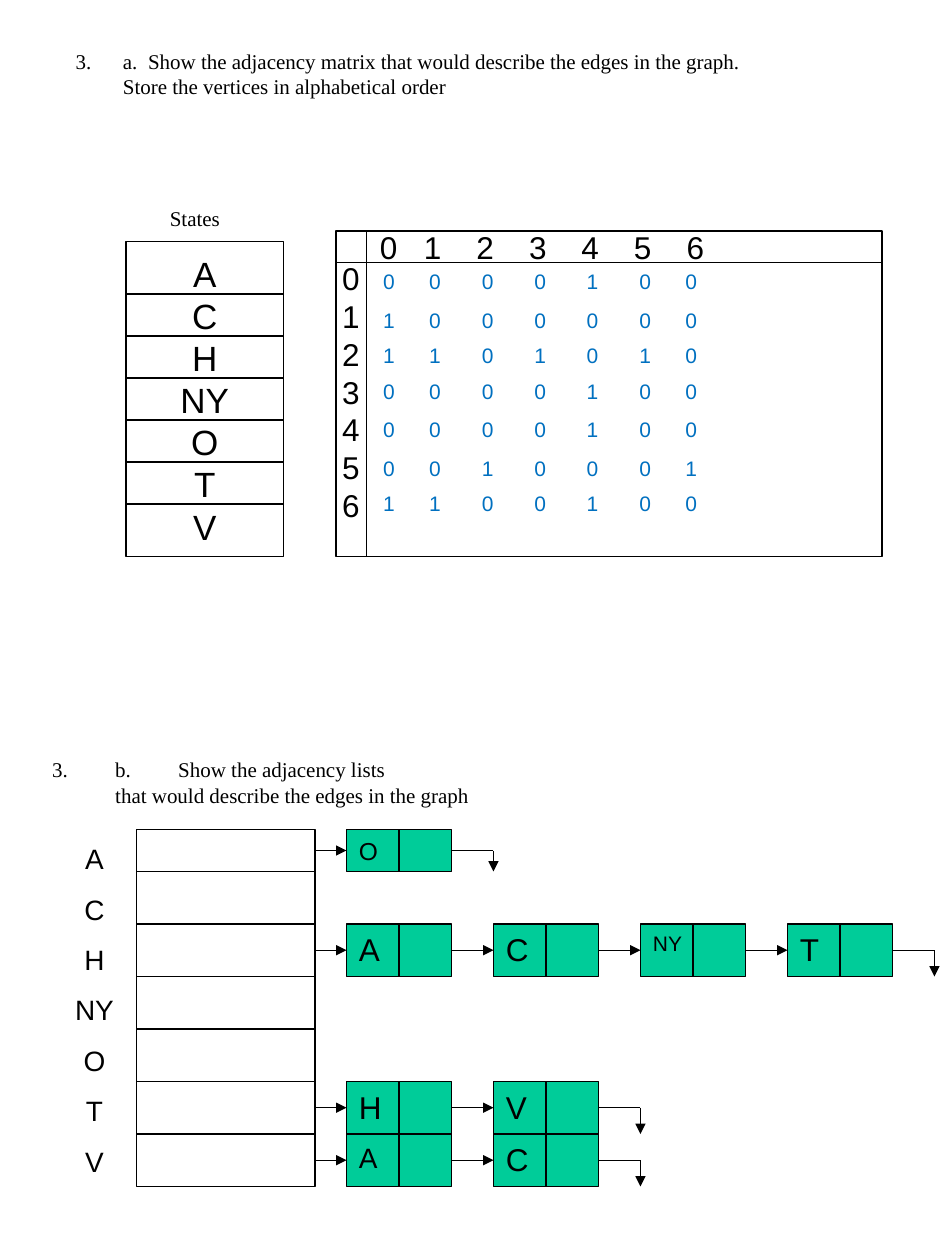
from itertools import pairwise
from lxml import etree
from pptx import Presentation
from pptx import util as u
from pptx.dml.color import RGBColor
from pptx.enum import shapes, text
from pptx.oxml.ns import qn

THEME = {
    "ink": RGBColor(0, 0, 0), "value": RGBColor(0x00, 0x70, 0xC0),
    "node": RGBColor(0x00, 0xCC, 0x99), "serif": "Times New Roman", "sans": "Arial",
    "body": 12, "label": 16, "index": 18, "state": 20, "line": 0.75,
}
PX = 7620  # EMU in one px, 120 px to the inch

ASK_A = ("a.\tShow the adjacency matrix that would describe the edges in the graph. "
         "Store the vertices in alphabetical order")
ASK_B = ["3.\tb.\tShow the adjacency lists", "that would describe the edges in the graph"]
STATES = ["A", "C", "H", "NY", "O", "T", "V"]
MATRIX = [  # top of the row, its values
    (250, "0000100"),
    (287, "1000000"),
    (320, "1101010"),
    (355, "0000100"),
    (391, "0000100"),
    (428, "0010001"),
    (461, "1100100"),
]
LISTS = {  # state: (neighbour, type size) in order
    "A": [("O", 14)],
    "H": [("A", 18), ("C", 18), ("NY", 12), ("T", 18)],
    "T": [("H", 18), ("V", 18)],
    "V": [("A", 16), ("C", 18)],
}
HEAD_TABS = [42, 92, 142, 192, 242, 292]
ROW_TABS = [44, 94, 144, 194, 244, 288]

deck = Presentation()
deck.slide_width, deck.slide_height = 900 * PX, 1200 * PX
slide = deck.slides.add_slide(deck.slide_layouts[5])


def write(para, words, size, font=THEME["sans"], color=THEME["ink"]):
    run = para.add_run()
    run.text = words
    run.font.size, run.font.name = u.Pt(size), font
    run.font.color.rgb = color


def set_tabs(para, stops):
    tabs = etree.SubElement(para._p.get_or_add_pPr(), qn("a:tabLst"))
    for stop in stops:
        etree.SubElement(tabs, qn("a:tab"), pos=str(stop * PX), algn="l")


def indent(para, left, first):
    props = para._p.get_or_add_pPr()
    props.set("marL", str(left * PX))
    props.set("indent", str(first * PX))


def add_text(box, lines, size, font=THEME["sans"], color=THEME["ink"],
             wrap=True, align=text.PP_ALIGN.LEFT, gap=None):
    """Add a text box with one paragraph per line; return its paragraphs."""
    frame = slide.shapes.add_textbox(*(n * PX for n in box)).text_frame
    frame.word_wrap = wrap
    for i, line in enumerate(lines):
        para = frame.add_paragraph() if i else frame.paragraphs[0]
        para.alignment = align
        if gap:
            para.line_spacing = gap
        write(para, line, size, font, color)
    return frame.paragraphs


def add_rect(x, y, w, h, fill=None):
    rect = slide.shapes.add_shape(shapes.MSO_SHAPE.RECTANGLE, x * PX, y * PX, w * PX, h * PX)
    rect.shadow.inherit = False
    if fill is None:
        rect.fill.background()
    else:
        rect.fill.solid()
        rect.fill.fore_color.rgb = fill
    rect.line.color.rgb, rect.line.width = THEME["ink"], u.Pt(THEME["line"])
    return rect


def add_line(x1, y1, x2, y2, arrow=False, start=None, end=None):
    """Draw a line, joined to the right of start and the left of end if given."""
    line = slide.shapes.add_connector(
        shapes.MSO_CONNECTOR.STRAIGHT, x1 * PX, y1 * PX, x2 * PX, y2 * PX)
    line.line.color.rgb, line.line.width = THEME["ink"], u.Pt(THEME["line"])
    if arrow:
        etree.SubElement(line.line._get_or_add_ln(), qn("a:tailEnd"), type="triangle")
    etree.SubElement(line._element.spPr, qn("a:effectLst"))
    if start is not None:
        line.begin_connect(start, 3)
    if end is not None:
        line.end_connect(end, 1)


def add_node(x, y, h, name, size):
    node = add_rect(x, y, 100, h, THEME["node"])
    frame = node.text_frame
    frame.vertical_anchor = text.MSO_ANCHOR.TOP
    frame.paragraphs[0].alignment = text.PP_ALIGN.LEFT
    write(frame.paragraphs[0], name, size)
    add_line(x + 50, y, x + 50, y + h)
    return node


# Question a
title = slide.shapes.title
title.left, title.top, title.width, title.height = (n * PX for n in (60, 40, 700, 60))
frame = title.text_frame
frame.word_wrap, frame.auto_size = True, text.MSO_AUTO_SIZE.NONE
frame.vertical_anchor = text.MSO_ANCHOR.TOP
para = frame.paragraphs[0]
para.alignment = text.PP_ALIGN.LEFT
indent(para, 45, -45)
etree.SubElement(para._p.get_or_add_pPr(), qn("a:buAutoNum"), type="arabicPeriod", startAt="3")
set_tabs(para, [69])
write(para, ASK_A, THEME["body"], THEME["serif"])

# States
add_text((150, 190, 72, 36), ["States"], THEME["body"], THEME["serif"], wrap=False)
add_rect(120, 230, 150, 300)
for i in range(len(STATES) - 1):
    add_line(120, 280 + 40 * i, 270, 280 + 40 * i)
add_text((155, 235, 80, 295), STATES, THEME["state"], align=text.PP_ALIGN.CENTER)

# Matrix
add_rect(320, 220, 520, 310)
add_line(349, 220, 349, 530)
add_line(320, 250, 840, 250)
digits = [str(i) for i in range(len(STATES))]
add_text((314, 241, 30, 266), digits, THEME["index"])
head = add_text((350, 211, 340, 48), ["\t".join(digits)], THEME["index"])
set_tabs(head[0], HEAD_TABS)
for top, values in MATRIX:
    row = add_text((353, top, 328, 36), ["\t".join(values)], THEME["body"], color=THEME["value"])
    set_tabs(row[0], ROW_TABS)

# Question b
asked = add_text((38, 715, 422, 60), ASK_B, THEME["body"], THEME["serif"], wrap=False)
for para, first in zip(asked, (-60, 0)):
    indent(para, 60, first)
    set_tabs(para, [30, 60])

# Adjacency lists
add_text((50, 780, 80, 345), STATES, THEME["label"], align=text.PP_ALIGN.CENTER, gap=1.5)
edges = [790] + [830 + 50 * i for i in range(len(STATES))]
add_rect(130, 790, 170, edges[-1] - 790)
for y in edges[1:-1]:
    add_line(130, y, 300, y)
for state, (top, low) in zip(STATES, pairwise(edges)):
    mid, x, last = (top + low) // 2, 300, None
    for i, (name, size) in enumerate(LISTS.get(state, [])):
        left = 330 + 140 * i
        node = add_node(left, top, low - top, name, size)
        add_line(x, mid, left, mid, True, last, node)
        x, last = left + 100, node
    if last is not None:
        add_line(x, mid, x + 40, mid, start=last)
        add_line(x + 40, mid, x + 40, low, True)

deck.save("out.pptx")
